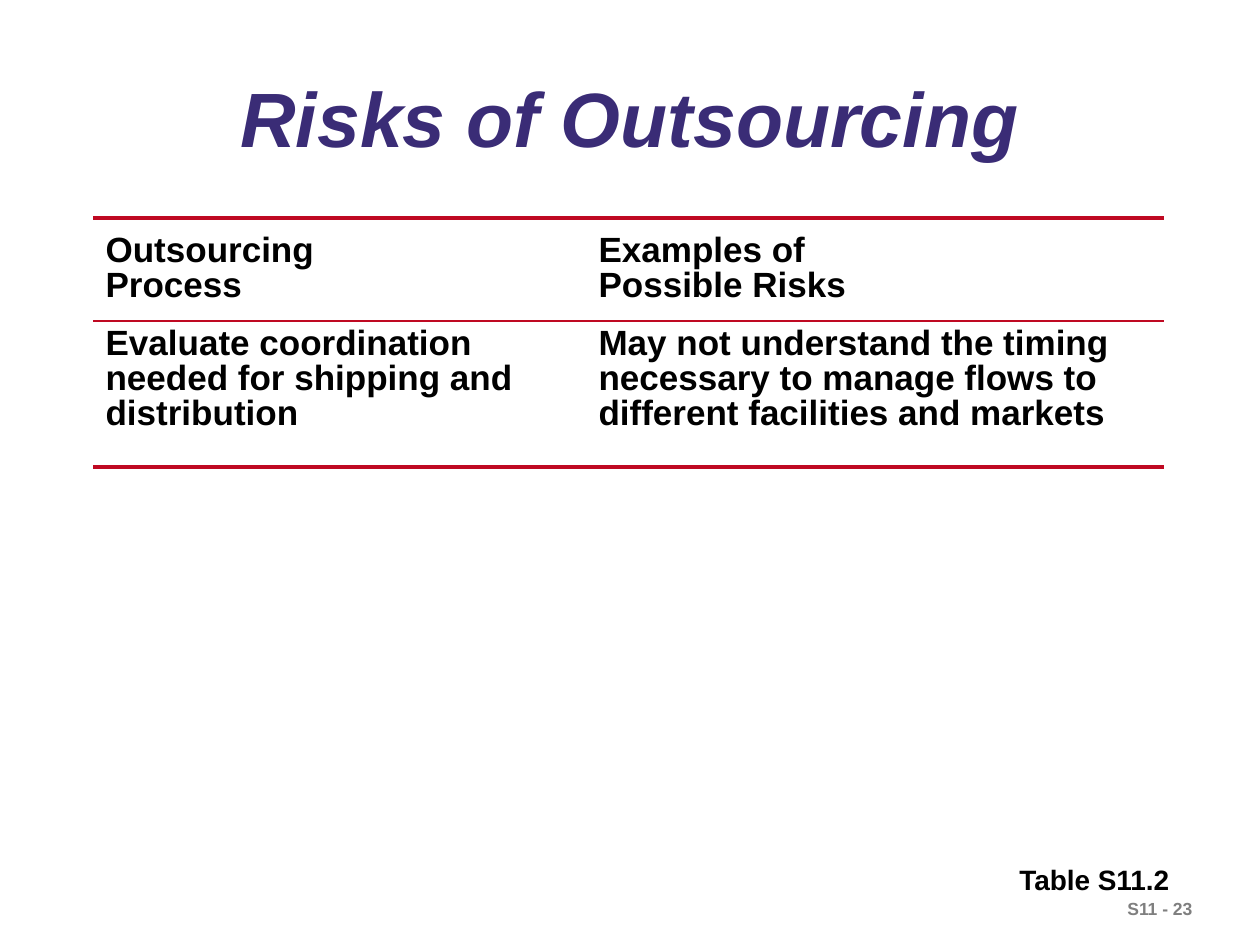
from dataclasses import dataclass

from lxml.etree import SubElement
from pptx import Presentation
from pptx.dml.color import RGBColor
from pptx.enum.text import MSO_ANCHOR, PP_ALIGN
from pptx.oxml.ns import qn
from pptx.util import Pt

PX = 914400 // 126

TITLE = "Risks of Outsourcing"
ROWS = [
    ("Outsourcing\vProcess", "", "Examples of\vPossible Risks"),
    ("Evaluate coordination needed for shipping and distribution", "",
     "May not understand the timing necessary to manage flows to "
     "different facilities and markets"),
]
COL_WIDTHS = (435, 58, 578)
ROW_HEIGHTS = (103, 146)
TABLE_AT = (93, 218)
TITLE_BOX = (94, 60, 1072, 125)


@dataclass(frozen=True)
class Theme:
    font: str = "Arial"
    title: str = "3A2C76"
    text: str = "000000"
    muted: str = "7F7F7F"
    rule: str = "BF0922"
    title_size: int = 44
    table_size: int = 20
    caption_size: int = 16
    number_size: int = 10
    thick: float = 2.21
    thin: float = 1.08


THEME = Theme()

# text, box, size, colour
LABELS = [
    ("S11 - 23", (1115, 892, 156, 34), THEME.number_size, THEME.muted),
    ("Table S11.2", (1007, 856, 179, 46), THEME.caption_size, THEME.text),
]


def emu(values):
    return [v * PX for v in values]


def style(p, size, color, italic=False):
    f = p.font
    f.name, f.size, f.bold, f.italic = THEME.font, Pt(size), True, italic
    f.color.rgb = RGBColor.from_string(color)


def add_title(slide):
    s = slide.shapes.title
    s.left, s.top, s.width, s.height = emu(TITLE_BOX)
    tf = s.text_frame
    tf.text, tf.vertical_anchor = TITLE, MSO_ANCHOR.MIDDLE
    p = tf.paragraphs[0]
    p.alignment, p.line_spacing = PP_ALIGN.CENTER, 0.9
    style(p, THEME.title_size, THEME.title, italic=True)


def add_label(slide, text, box, size, color):
    tf = slide.shapes.add_textbox(*emu(box)).text_frame
    tf.word_wrap = False
    tf.text = text
    style(tf.paragraphs[0], size, color)


def set_borders(cell, top, bottom):
    """Rule the cell above and below only; widths are in points."""
    tcPr = cell._tc.get_or_add_tcPr()
    for side, width in (("L", 0), ("R", 0), ("T", top), ("B", bottom)):
        ln = SubElement(tcPr, qn(f"a:ln{side}"), w=str(Pt(width)))
        if width:
            fill = SubElement(ln, qn("a:solidFill"))
            SubElement(fill, qn("a:srgbClr"), val=THEME.rule)
        else:
            SubElement(ln, qn("a:noFill"))


def add_risk_table(slide):
    size = (sum(COL_WIDTHS), sum(ROW_HEIGHTS))
    table = slide.shapes.add_table(
        len(ROWS), len(COL_WIDTHS), *emu(TABLE_AT + size)).table
    table.first_row = table.horz_banding = False
    for col, width in zip(table.columns, emu(COL_WIDTHS)):
        col.width = width
    for row, height in zip(table.rows, emu(ROW_HEIGHTS)):
        row.height = height

    widths = (THEME.thick, THEME.thin, THEME.thick)
    anchors = (MSO_ANCHOR.MIDDLE, MSO_ANCHOR.TOP)
    for r, texts in enumerate(ROWS):
        for c, text in enumerate(texts):
            cell = table.cell(r, c)
            set_borders(cell, widths[r], widths[r + 1])
            cell.fill.background()
            cell.vertical_anchor = anchors[r]
            cell.text = text
            p = cell.text_frame.paragraphs[0]
            p.line_spacing, p.space_after = 0.9, Pt(10)
            style(p, THEME.table_size, THEME.text)


def main():
    prs = Presentation()
    prs.slide_width, prs.slide_height = emu((1260, 945))
    slide = prs.slides.add_slide(prs.slide_layouts[5])
    add_title(slide)
    for label in LABELS:
        add_label(slide, *label)
    add_risk_table(slide)
    prs.save("out.pptx")


if __name__ == "__main__":
    main()
